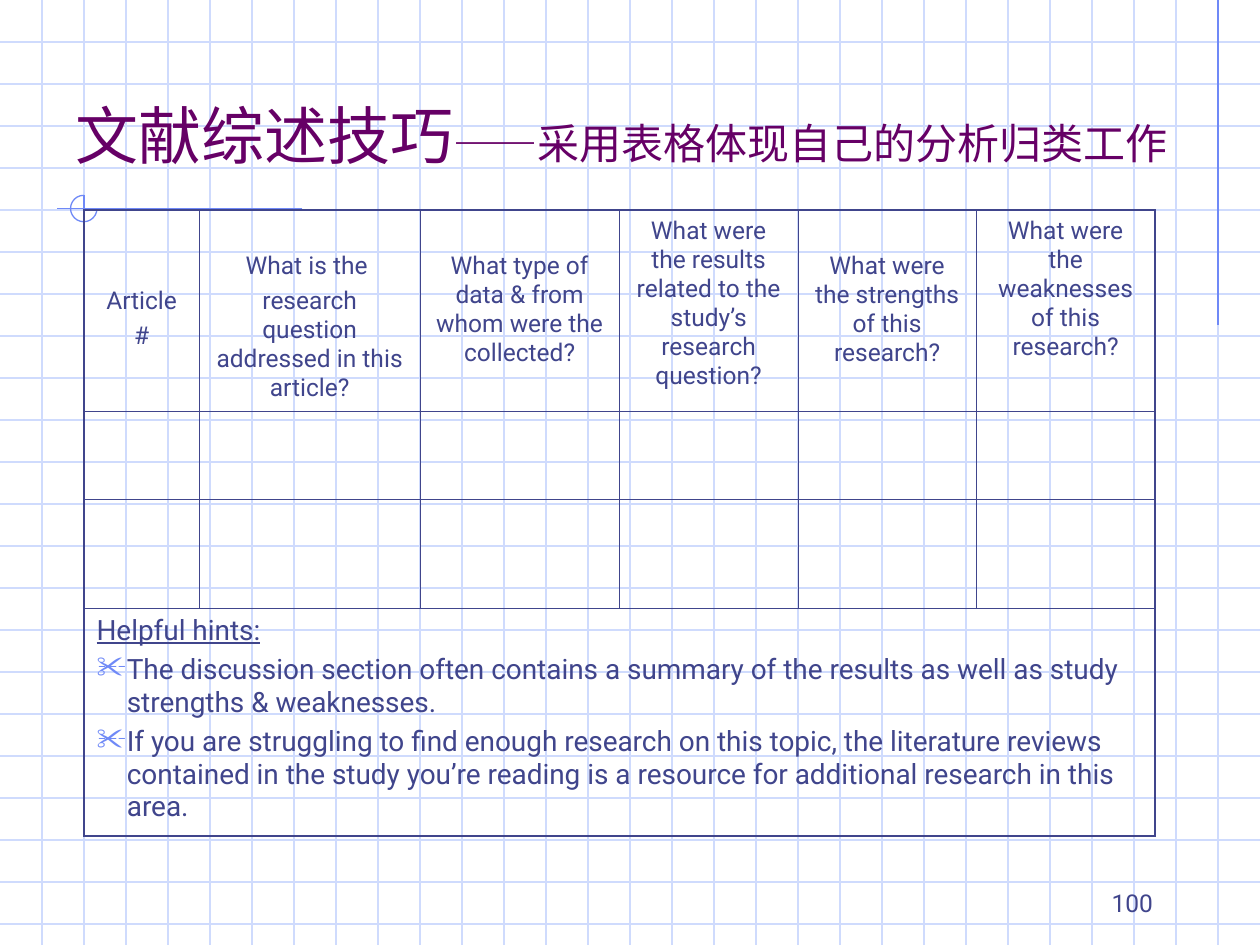
import pptx
import pptx.util
import pptx.dml.color
import pptx.enum.shapes
import pptx.enum.text
import pptx.oxml
import pptx.oxml.ns

ALIGN = pptx.enum.text.PP_ALIGN
ANCHOR = pptx.enum.text.MSO_ANCHOR
COLORS = {"grid": "CFDBFD", "accent": "6F89F7", "ink": "40458C", "title": "660066"}
COLUMNS, ROWS = 30, 22.5  # three grid squares to the inch
BLANK_LINE = 0.28  # inches taken by one 14 pt line and its spacing

HEADERS = [  # lines to drop by, paragraphs
    (2, ["Article", "#"]),
    (1, ["What is the ", "research question addressed in this article?"]),
    (1, ["What type of data & from whom were the collected?"]),
    (0, ["What were the results related to the study’s research question?"]),
    (1, ["What were the strengths of this research?"]),
    (0, ["What were the weaknesses of this research?"]),
]
HINTS = [
    "The discussion section often contains a summary of the results as well as "
    "study strengths & weaknesses.",
    "If you are struggling to find enough research on this topic, the literature "
    "reviews contained in the study you’re reading is a resource for additional "
    "research in this area.",
]


def rgb(name):
    return pptx.dml.color.RGBColor.from_string(COLORS[name])


def grid(*lengths):
    """Turn grid squares into slide lengths."""
    return [pptx.util.Inches(n / 3) for n in lengths]


class GridSlide:
    def __init__(self, prs):
        self.font = "Roboto"
        self.s = prs.slides.add_slide(prs.slide_layouts[5])

    def run(self, p, text, size, color="ink", font=None, underline=None):
        r = p.add_run()
        r.text = text
        r.font.size = pptx.util.Pt(size)
        r.font.name = font or self.font
        r.font.color.rgb = rgb(color)
        r.font.underline = underline

    def line(self, x1, y1, x2, y2, color="accent"):
        cx = self.s.shapes.add_connector(
            pptx.enum.shapes.MSO_CONNECTOR.STRAIGHT, *grid(x1, y1, x2, y2))
        cx.line.color.rgb = rgb(color)
        cx.line.width = pptx.util.Pt(0.75)
        cx._element.spPr.append(pptx.oxml.parse_xml(
            f'<a:effectLst {pptx.oxml.ns.nsdecls("a")}/>'))

    def arc(self, x, y, size, start, end):
        """Draw an open arc clockwise between two angles in degrees."""
        sp = self.s.shapes.add_shape(
            pptx.enum.shapes.MSO_SHAPE.ARC, *grid(x, y, size, size))
        sp.adjustments[0], sp.adjustments[1] = start * 0.6, end * 0.6
        sp.shadow.inherit = False
        sp.fill.background()
        sp.line.color.rgb = rgb("accent")
        sp.line.width = pptx.util.Pt(0.75)

    def title(self, x, y, w, h, parts):
        sp = self.s.shapes.title
        sp.left, sp.top, sp.width, sp.height = grid(x, y, w, h)
        self.s.shapes._spTree.append(sp._element)  # in front of the grid
        tf = sp.text_frame
        tf.auto_size = pptx.enum.text.MSO_AUTO_SIZE.NONE
        tf.vertical_anchor = ANCHOR.BOTTOM
        p = tf.paragraphs[0]
        p.alignment = ALIGN.LEFT
        for text, size in parts:
            self.run(p, text, size, "title", "Arial")

    def page_number(self, x, y, w, h, text):
        tf = self.s.shapes.add_textbox(*grid(x, y, w, h)).text_frame
        tf.word_wrap = True
        tf.vertical_anchor = ANCHOR.BOTTOM
        p = tf.paragraphs[0]
        p.alignment = ALIGN.RIGHT
        self.run(p, text, 14)

    def table(self, x, y, widths, heights):
        """Add an unfilled table with a thick frame and a merged last row."""
        n_rows, n_cols = len(heights), len(widths)
        table = self.s.shapes.add_table(
            n_rows, n_cols, *grid(x, y, sum(widths), sum(heights))).table
        table.first_row = table.horz_banding = False
        for column, width in zip(table.columns, grid(*widths)):
            column.width = width
        for row, height in zip(table.rows, grid(*heights)):
            row.height = height
        last = n_rows - 1
        table.cell(last, 0).merge(table.cell(last, n_cols - 1))
        for i in range(n_rows):
            for j in range(n_cols):
                cell = table.cell(i, j)
                if not cell.is_spanned:
                    self.borders(cell, L=j == 0, R=j == n_cols - 1 or i == last,
                                 T=i == 0, B=i == last)
                cell.fill.background()
        return table

    def borders(self, cell, **outer):
        for side, is_outer in outer.items():
            width = pptx.util.Pt(1.08 if is_outer else 0.45)
            cell._tc.get_or_add_tcPr().append(pptx.oxml.parse_xml(
                f'<a:ln{side} {pptx.oxml.ns.nsdecls("a")} w="{width}"><a:solidFill>'
                f'<a:srgbClr val="{COLORS["ink"]}"/></a:solidFill></a:ln{side}>'))

    def header(self, cell, drop, paragraphs):
        cell.margin_top = pptx.util.Inches(0.05 + drop * BLANK_LINE)
        tf = cell.text_frame
        for i, text in enumerate(paragraphs):
            p = tf.add_paragraph() if i else tf.paragraphs[0]
            p.alignment = ALIGN.CENTER
            if i:
                p.space_before = pptx.util.Pt(3.5)
            self.run(p, text, 14)

    def hints(self, cell, heading, items):
        tf = cell.text_frame
        self.run(tf.paragraphs[0], heading, 16, underline=True)
        for text in items:
            p = tf.add_paragraph()
            p.space_before = pptx.util.Pt(4)
            self.bullet(p)
            self.run(p, text, 16)

    def bullet(self, p):
        pPr = p._p.get_or_add_pPr()
        indent = pptx.util.Inches(0.24)
        pPr.set("marL", str(indent))
        pPr.set("indent", str(-indent))
        ns = pptx.oxml.ns.nsdecls("a")
        for xml in (
            f'<a:buClr {ns}><a:srgbClr val="{COLORS["accent"]}"/></a:buClr>',
            f'<a:buSzPct {ns} val="110000"/>',
            f'<a:buChar {ns} char="✂"/>',
        ):
            pPr.append(pptx.oxml.parse_xml(xml))


def main():
    prs = pptx.Presentation()
    prs.slide_width, prs.slide_height = grid(COLUMNS, ROWS)
    slide = GridSlide(prs)

    for y in range(1, int(ROWS) + 1):
        slide.line(0, y, COLUMNS, y, "grid")
    for x in range(1, COLUMNS):
        slide.line(x, 0, x, ROWS, "grid")
    slide.line(29, 0, 29, 7.74)
    slide.line(7.2, 4.97, 1.35, 4.97)
    slide.line(2, 4.65, 2, 12.27)
    slide.arc(1.68, 4.65, 0.63, 0, 270)

    slide.page_number(21.5, 20.5, 6.25, 1.5, "100")
    slide.title(1.5, 0.5, 27, 3.75,
                [("文献综述技巧", 36), ("——采用表格体现自己的分析归类工作", 24)])
    table = slide.table(2, 5, [2.75, 5.25, 4.75] + [4.25] * 3,
                        [4.8, 2.1, 2.58, 5.43])
    for j, (drop, paragraphs) in enumerate(HEADERS):
        slide.header(table.cell(0, j), drop, paragraphs)
    slide.hints(table.cell(3, 0), "Helpful hints:", HINTS)

    prs.save("out.pptx")


if __name__ == "__main__":
    main()
